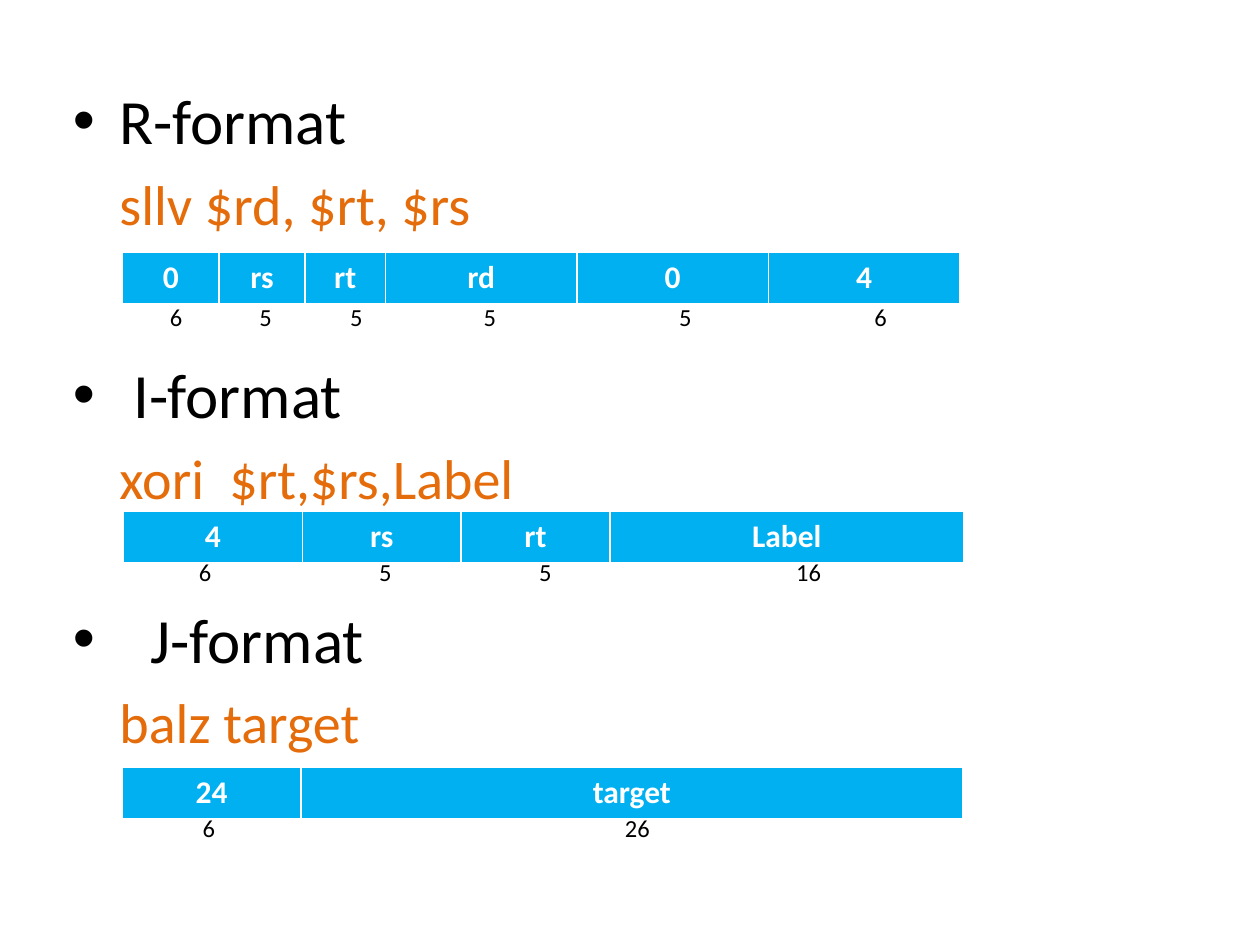
from dataclasses import dataclass

from lxml.etree import SubElement
from pptx import Presentation
from pptx.dml.color import RGBColor
from pptx.enum.text import PP_ALIGN as Align
from pptx.oxml.ns import qn
from pptx.util import Inches, Pt


@dataclass(frozen=True)
class Theme:
    font: str = "Calibri"
    black: str = "000000"
    white: str = "FFFFFF"
    orange: str = "E46C0A"
    blue: str = "00B0F0"
    heading_size: int = 36
    command_size: int = 32
    field_size: int = 18
    bits_size: int = 14


@dataclass(frozen=True)
class Field:
    label: str
    width: float
    bits: str
    bits_center: float


@dataclass(frozen=True)
class Format:
    heading: str
    command: str
    indent: float
    space_before: int
    left: float
    top: float
    bits_top: float
    fields: tuple[Field, ...]


THEME = Theme()
ROW_HEIGHT = 0.41
BODY_INDENT = 0.37
BITS_LEFT = 1.0
BITS_SIZE = (6.5, 0.34)
INSET = 0.1

FORMATS = (
    Format("R-format", "sllv $rd, $rt, $rs", 0.37, 0, 0.97, 2.0, 2.35, (
        Field("0", 0.77, "6", 1.40),
        Field("rs", 0.68, "5", 2.11),
        Field("rt", 0.64, "5", 2.83),
        Field("rd", 1.52, "5", 3.89),
        Field("0", 1.52, "5", 5.44),
        Field("4", 1.52, "6", 6.99),
    )),
    Format("I-format", "xori  $rt,$rs,Label", 0.48, 68, 0.98, 4.06, 4.37, (
        Field("4", 1.42, "6", 1.63),
        Field("rs", 1.26, "5", 3.06),
        Field("rt", 1.18, "5", 4.33),
        Field("Label", 2.81, "16", 6.42),
    )),
    Format("J-format", "balz target", 0.62, 51, 0.97, 6.09, 6.4, (
        Field("24", 1.42, "6", 1.66),
        Field("target", 5.25, "26", 5.06),
    )),
)


def style_runs(para, size: int, color: str, bold: bool = False) -> None:
    for span in para.runs:
        span.font.name = THEME.font
        span.font.size = Pt(size)
        span.font.bold = bold
        span.font.color.rgb = RGBColor.from_string(color)


def set_indent(para, margin: float, first_line: float) -> None:
    properties = para._p.get_or_add_pPr()
    properties.set("marL", str(Inches(margin)))
    properties.set("indent", str(Inches(first_line)))


def add_bullet(para) -> None:
    properties = para._p.get_or_add_pPr()
    color = SubElement(properties, qn("a:buClr"))
    SubElement(color, qn("a:srgbClr"), val=THEME.black)
    SubElement(properties, qn("a:buFont"), typeface="Arial")
    SubElement(properties, qn("a:buChar"), char="•")


def add_text_frame(page, left: float, top: float, width: float, height: float):
    box = page.shapes.add_textbox(Inches(left), Inches(top), Inches(width), Inches(height))
    box.text_frame.word_wrap = True
    return box.text_frame


def add_outline(page, formats: tuple[Format, ...]) -> None:
    frame = add_text_frame(page, 0.48, 0.6, 9, 6.1)
    for index, item in enumerate(formats):
        heading = frame.add_paragraph() if index else frame.paragraphs[0]
        heading.text = item.heading
        heading.space_before = Pt(item.space_before)
        set_indent(heading, item.indent, -item.indent)
        add_bullet(heading)
        style_runs(heading, THEME.heading_size, THEME.black)

        command = frame.add_paragraph()
        command.text = item.command
        command.space_before = Pt(7)
        set_indent(command, BODY_INDENT, 0)
        style_runs(command, THEME.command_size, THEME.orange)


def add_field_table(page, item: Format) -> None:
    total = sum(field.width for field in item.fields)
    table = page.shapes.add_table(
        1, len(item.fields), Inches(item.left), Inches(item.top),
        Inches(total), Inches(ROW_HEIGHT),
    ).table
    for index, field in enumerate(item.fields):
        table.columns[index].width = Inches(field.width)
        cell = table.cell(0, index)
        cell.fill.solid()
        cell.fill.fore_color.rgb = RGBColor.from_string(THEME.blue)
        cell.text_frame.text = field.label
        para = cell.text_frame.paragraphs[0]
        para.alignment = Align.CENTER
        style_runs(para, THEME.field_size, THEME.white, bold=True)


def add_bit_widths(page, item: Format) -> None:
    frame = add_text_frame(page, BITS_LEFT, item.bits_top, *BITS_SIZE)
    para = frame.paragraphs[0]
    para.text = "".join("\t" + field.bits for field in item.fields)
    stops = SubElement(para._p.get_or_add_pPr(), qn("a:tabLst"))
    for field in item.fields:
        position = Inches(field.bits_center - BITS_LEFT - INSET)
        SubElement(stops, qn("a:tab"), pos=str(position), algn="ctr")
    style_runs(para, THEME.bits_size, THEME.black)


def build() -> None:
    deck = Presentation()
    deck.slide_width = Inches(10)
    deck.slide_height = Inches(7.5)
    page = deck.slides.add_slide(deck.slide_layouts.get_by_name("Blank"))
    add_outline(page, FORMATS)
    for item in FORMATS:
        add_field_table(page, item)
        add_bit_widths(page, item)
    deck.save("out.pptx")


build()
